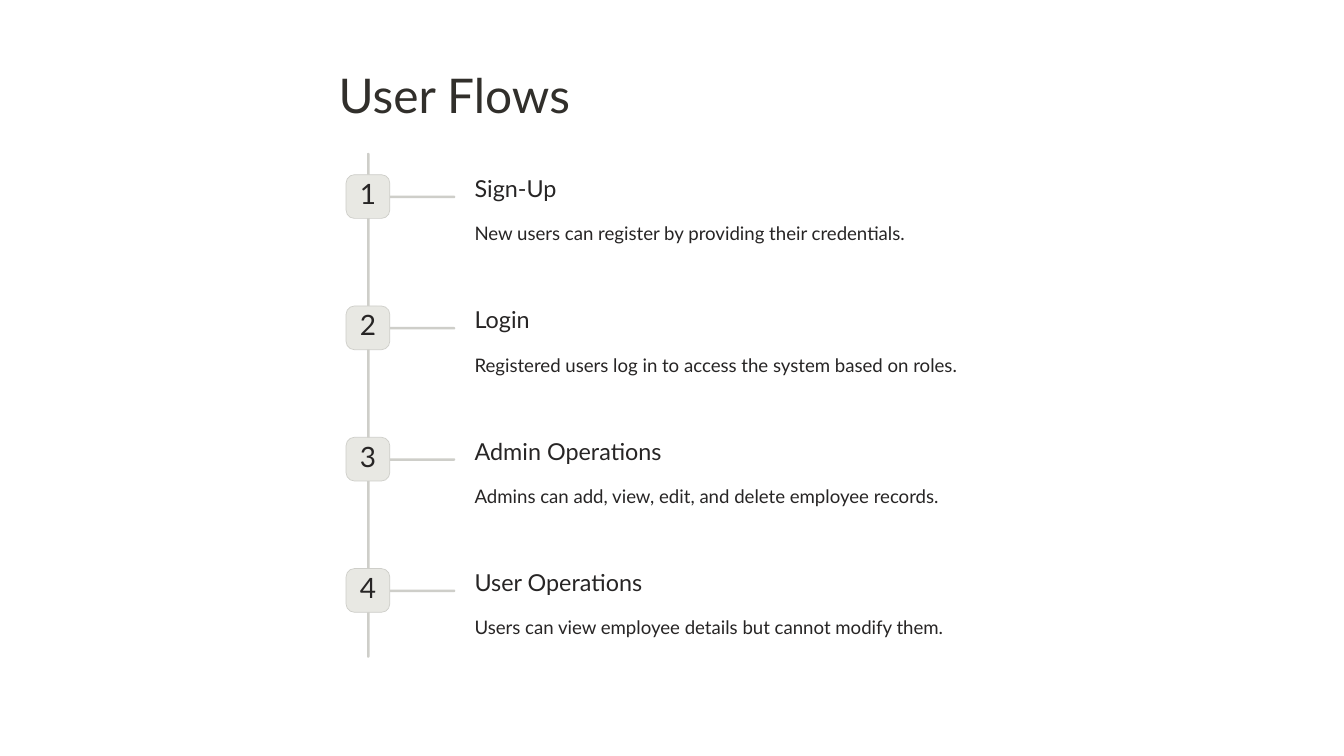
from pptx import Presentation
from pptx.dml.color import RGBColor
from pptx.enum.shapes import MSO_SHAPE
from pptx.enum.text import MSO_ANCHOR, MSO_AUTO_SIZE, PP_ALIGN
from pptx.util import Inches, Pt

ROUNDED = MSO_SHAPE.ROUNDED_RECTANGLE
TOP = MSO_ANCHOR.TOP
FIXED_SIZE = MSO_AUTO_SIZE.NONE
LEFT, CENTER = PP_ALIGN.LEFT, PP_ALIGN.CENTER

FONT = "Lato"
COLORS = {
    "title": "312F2B",
    "text": "272525",
    "line": "CECEC9",
    "badge": "E8E8E3",
}
STEPS = [
    ("Sign-Up", "New users can register by providing their credentials."),
    ("Login", "Registered users log in to access the system based on roles."),
    ("Admin Operations", "Admins can add, view, edit, and delete employee records."),
    ("User Operations", "Users can view employee details but cannot modify them."),
]
FIRST_TOP = 2.08
STEP_PITCH = 1.563
BADGE_SIZE = 0.52
LINE_WIDTH = 0.03
TEXT_LEFT = 5.65
TEXT_WIDTH = 6
TEXT_HEIGHT = 0.34


def write(text, left, top, width, height, size, spacing, color="text", align=LEFT, shape=None):
    """Put one line of text in the given shape, or in a new text box."""
    box = [Inches(value) for value in (left, top, width, height)]
    if shape is None:
        shape = slide.shapes.add_textbox(*box)
    shape.left, shape.top, shape.width, shape.height = box
    frame = shape.text_frame
    frame.word_wrap = True
    frame.auto_size = FIXED_SIZE
    frame.vertical_anchor = TOP
    frame.margin_left = frame.margin_top = frame.margin_right = frame.margin_bottom = 0
    paragraph = frame.paragraphs[0]
    paragraph.alignment = align
    paragraph.line_spacing = Pt(spacing)
    paragraph.space_before = Pt(0)
    run = paragraph.add_run()
    run.text = text
    run.font.name = FONT
    run.font.size = Pt(size)
    run.font.color.rgb = RGBColor.from_string(COLORS[color])


def add_rounded(left, top, width, height, fill, radius=0.5, outline=None):
    shape = slide.shapes.add_shape(
        ROUNDED, Inches(left), Inches(top), Inches(width), Inches(height)
    )
    shape.adjustments[0] = radius
    shape.shadow.inherit = False
    shape.fill.solid()
    shape.fill.fore_color.rgb = RGBColor.from_string(COLORS[fill])
    if outline:
        shape.line.color.rgb = RGBColor.from_string(COLORS[outline])
        shape.line.width = Pt(0.6)
    else:
        shape.line.fill.background()


presentation = Presentation()
presentation.slide_width = Inches(16)
presentation.slide_height = Inches(9)
title_only_layout = presentation.slide_layouts[5]
slide = presentation.slides.add_slide(title_only_layout)

write("User Flows", 4.03, 0.76, 2.86, 0.7, 41, 51, color="title", shape=slide.shapes.title)

# Timeline
add_rounded(4.37, 1.82, LINE_WIDTH, 6.01, "line")

for index, (heading, description) in enumerate(STEPS):
    top = FIRST_TOP + index * STEP_PITCH
    add_rounded(4.61, top + 0.25, 0.81, LINE_WIDTH, "line")
    add_rounded(4.12, top, BADGE_SIZE, BADGE_SIZE, "badge", radius=0.19, outline="line")
    write(str(index + 1), 4.28, top + 0.09, 0.2, TEXT_HEIGHT, 24, 24, align=CENTER)
    write(heading, TEXT_LEFT, top - 0.02, TEXT_WIDTH, TEXT_HEIGHT, 20, 25)
    write(description, TEXT_LEFT, top + 0.47, TEXT_WIDTH, TEXT_HEIGHT, 16, 26)

presentation.save("out.pptx")
